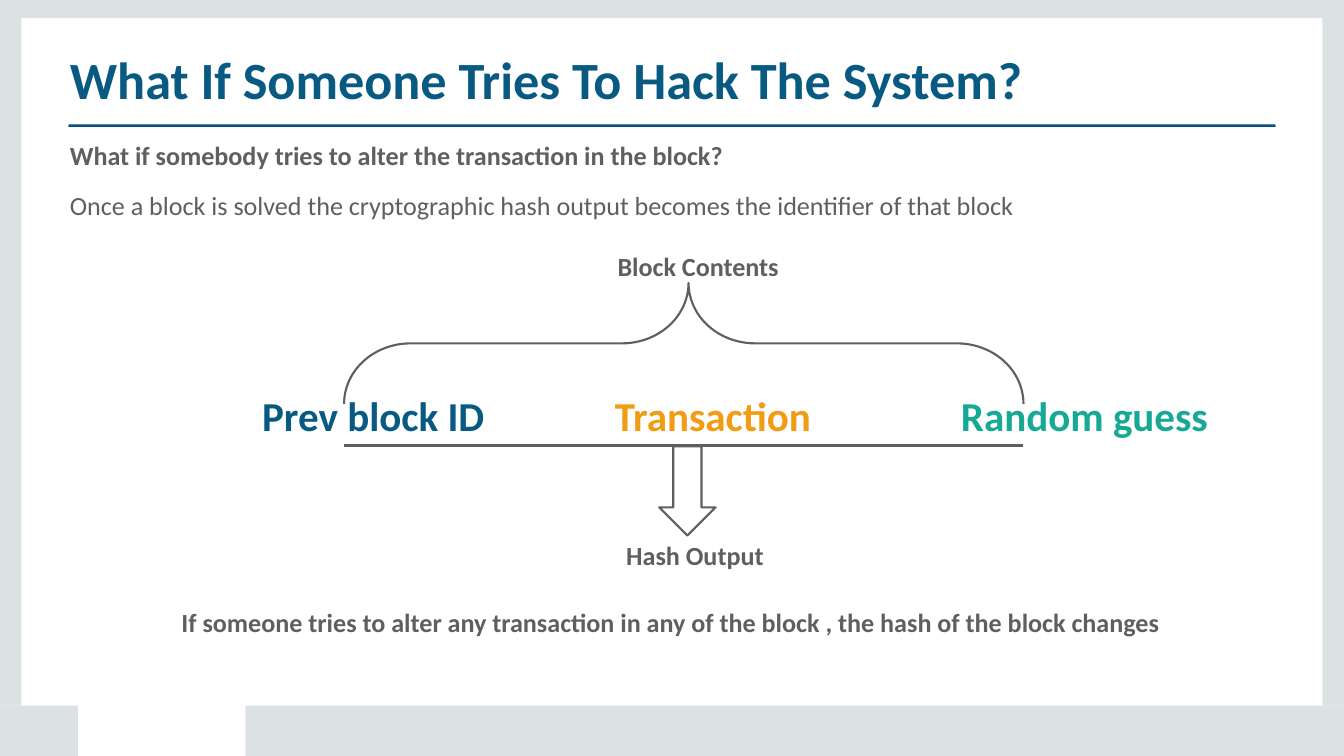
from typing import NamedTuple

from lxml.etree import SubElement
from pptx import Presentation
from pptx.dml.color import RGBColor
from pptx.enum.shapes import MSO_CONNECTOR, MSO_SHAPE
from pptx.enum.text import MSO_ANCHOR, MSO_AUTO_SIZE, PP_ALIGN
from pptx.oxml.ns import qn
from pptx.util import Inches, Pt

FRAME, BLUE, DEEP_BLUE = "DCE2E3", "095A82", "055180"
GREY, ORANGE, GREEN = "5F5F5F", "F19C13", "16A995"


class Area(NamedTuple):
    left: float
    top: float
    width: float
    height: float

    def lengths(self) -> list:
        return [Inches(value) for value in self]


class Bar(NamedTuple):
    area: Area
    color: str


class Line(NamedTuple):
    text: str
    size: int = 28
    color: str = GREY
    bold: bool = True
    before: float = 0
    indent: float = 0
    align: PP_ALIGN = PP_ALIGN.LEFT


BARS = [
    Bar(Area(19.68, 0.27, 0.32, 10.23), FRAME),
    Bar(Area(0, 0.27, 0.32, 10.23), FRAME),
    Bar(Area(3.65, 10.5, 16.35, 0.75), FRAME),
    Bar(Area(0, 10.5, 1.16, 0.75), FRAME),
    Bar(Area(0, 0, 20, 0.27), FRAME),
    Bar(Area(1.02, 1.85, 17.96, 0.04), BLUE),
    Bar(Area(1.02, 1.86, 17.96, 0.03), DEEP_BLUE),
]
BLOCK_PARTS = [
    (Area(3.89, 5.8, 3.34, 0.76), Line("Prev block ID", 44, BLUE)),
    (Area(9.14, 5.8, 2.95, 0.76), Line("Transaction", 44, ORANGE)),
    (Area(14.29, 5.8, 3.71, 0.76), Line("Random guess", 44, GREEN)),
]
TITLE = Line("What If Someone Tries To Hack The System?", 56, BLUE)
INTRO = [
    Line("What if somebody tries to alter the transaction in the block?"),
    Line("Once a block is solved the cryptographic hash output becomes "
         "the identifier of that block", bold=False, before=19),
    Line("Block Contents", before=32, indent=8.15),
]
OUTCOME = [
    Line("Hash Output", indent=0.68, align=PP_ALIGN.CENTER),
    Line("If someone tries to alter any transaction in any of the block , "
         "the hash of the block changes", before=39),
]


def rgb(color: str) -> RGBColor:
    return RGBColor.from_string(color)


def write(box, area: Area, lines: list[Line], inset_top: float = 0.01) -> None:
    """Place a text box or placeholder and fill it with unbulleted lines."""
    box.left, box.top, box.width, box.height = area.lengths()
    frame = box.text_frame
    frame.word_wrap = True
    frame.auto_size = MSO_AUTO_SIZE.NONE
    frame.vertical_anchor = MSO_ANCHOR.TOP
    frame.margin_left = frame.margin_right = frame.margin_bottom = 0
    frame.margin_top = Inches(inset_top)
    for index, line in enumerate(lines):
        para = frame.paragraphs[0] if index == 0 else frame.add_paragraph()
        properties = para._p.get_or_add_pPr()
        properties.set("marL", str(Inches(line.indent + 0.01)))
        properties.set("indent", "0")
        SubElement(properties, qn("a:buNone"))
        para.alignment = line.align
        para.space_before = Pt(line.before)
        span = para.add_run()
        span.text = line.text
        span.font.name = "Calibri"
        span.font.size = Pt(line.size)
        span.font.bold = line.bold
        span.font.color.rgb = rgb(line.color)


def draw_bar(page, bar: Bar) -> None:
    shape = page.shapes.add_shape(MSO_SHAPE.RECTANGLE, *bar.area.lengths())
    shape.shadow.inherit = False
    shape.fill.solid()
    shape.fill.fore_color.rgb = rgb(bar.color)
    shape.line.fill.background()


def set_stroke(shape) -> None:
    shape.line.color.rgb = rgb(GREY)
    shape.line.width = Pt(2.28)


def draw_outline(page, kind: MSO_SHAPE, area: Area, adjustments: list[float],
                 rotation: float = 0) -> None:
    shape = page.shapes.add_shape(kind, *area.lengths())
    shape.shadow.inherit = False
    shape.rotation = rotation
    for index, value in enumerate(adjustments):
        shape.adjustments[index] = value
    shape.fill.background()
    set_stroke(shape)


def draw_upward_brace(page, area: Area) -> None:
    """A left brace turned a quarter, so its box is centred on the area."""
    left = area.left + (area.width - area.height) / 2
    top = area.top + (area.height - area.width) / 2
    upright = Area(left, top, area.height, area.width)
    draw_outline(page, MSO_SHAPE.LEFT_BRACE, upright, [0.55, 0.493], 90)


def draw_line(page, left: float, right: float, height: float) -> None:
    line = page.shapes.add_connector(
        MSO_CONNECTOR.STRAIGHT, Inches(left), Inches(height), Inches(right), Inches(height))
    set_stroke(line)
    SubElement(line._element.spPr, qn("a:effectLst"))


def main() -> None:
    deck = Presentation()
    deck.slide_width, deck.slide_height = Inches(20), Inches(11.25)
    page = deck.slides.add_slide(deck.slide_layouts[1])

    for bar in BARS:
        draw_bar(page, bar)
    write(page.shapes.title, Area(1.03, 0.7, 14.35, 0.96), [TITLE])
    write(page.placeholders[1], Area(1.03, 1.8, 14.11, 2.39), INTRO, inset_top=0.28)

    for area, line in BLOCK_PARTS:
        write(page.shapes.add_textbox(*area.lengths()), area, [line])
    draw_upward_brace(page, Area(5.12, 4.21, 10.11, 1.8))
    draw_line(page, 5.12, 15.22, 6.63)
    draw_outline(page, MSO_SHAPE.DOWN_ARROW, Area(9.81, 6.64, 0.84, 1.33), [0.5, 0.5])

    outcome_area = Area(2.69, 8.01, 14.61, 1.49)
    write(page.shapes.add_textbox(*outcome_area.lengths()), outcome_area, OUTCOME)
    deck.save("out.pptx")


if __name__ == "__main__":
    main()
